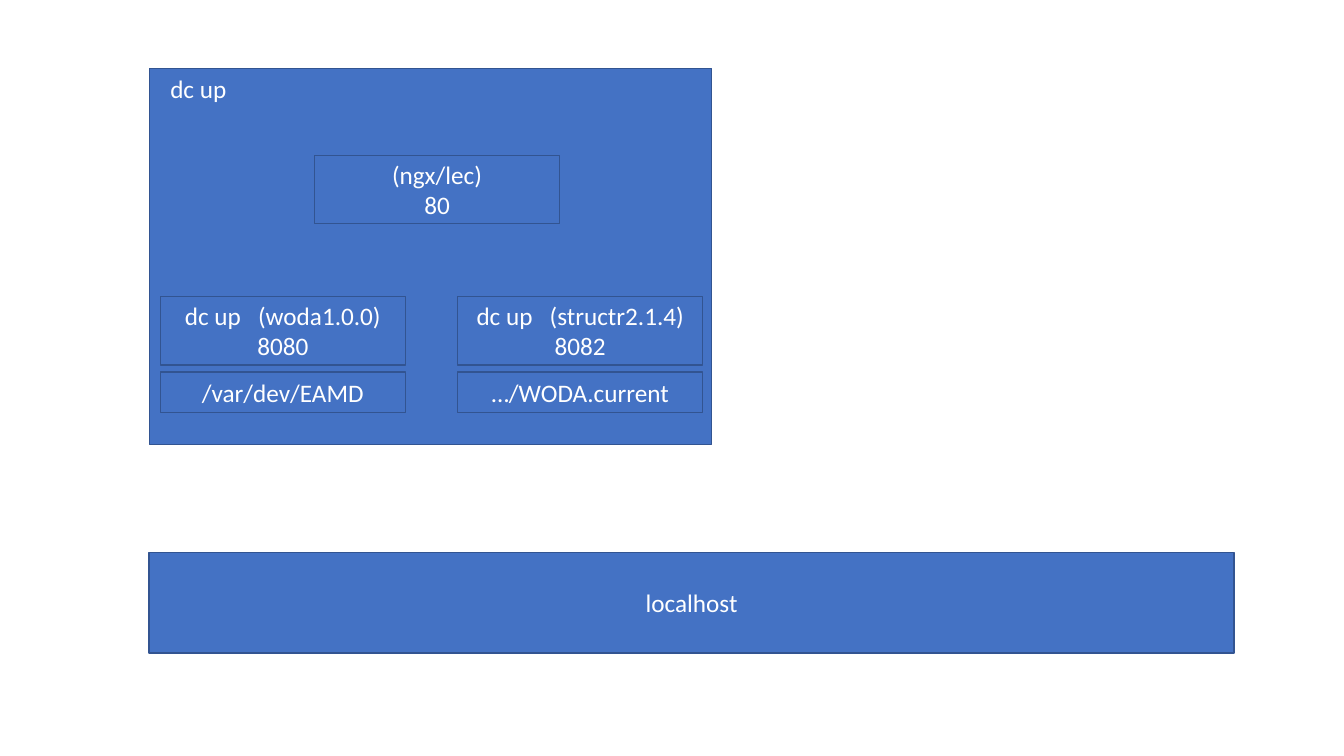
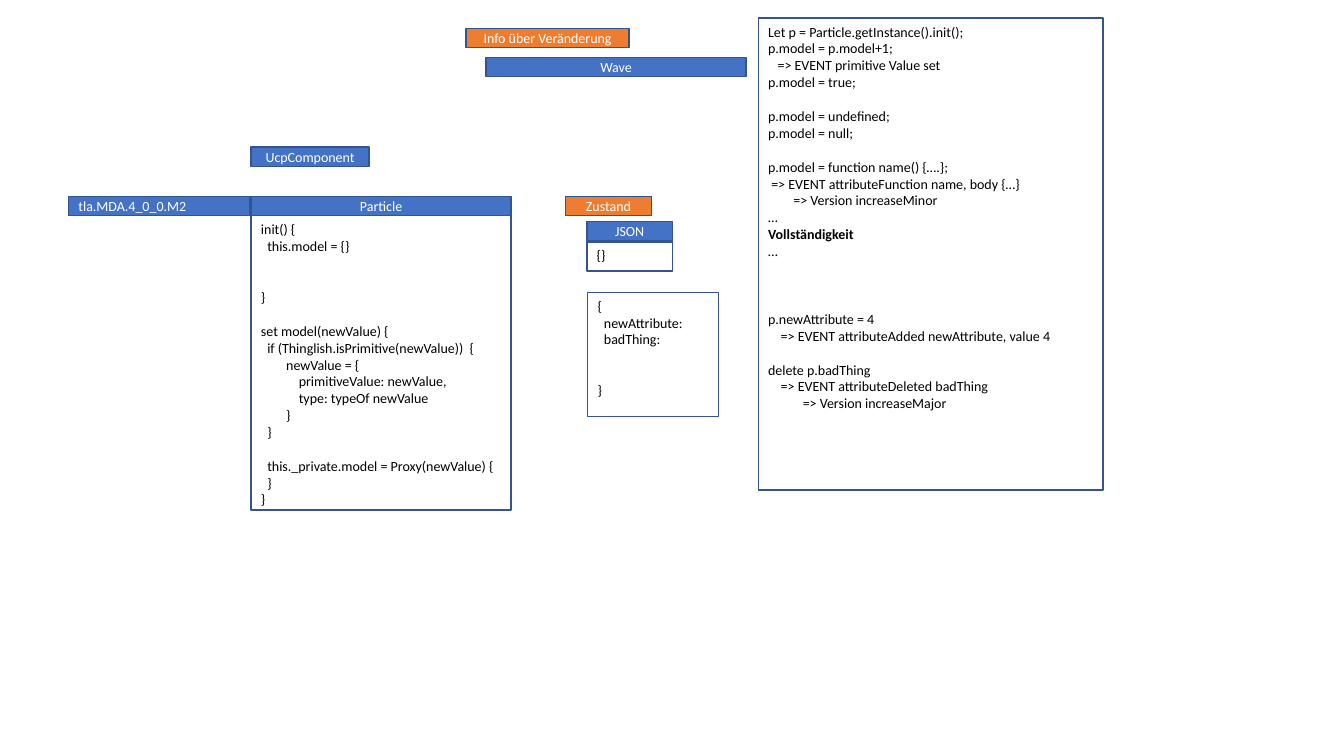
from dataclasses import dataclass

from pptx import Presentation
from pptx.dml.color import RGBColor
from pptx.enum.shapes import MSO_SHAPE as Preset
from pptx.enum.text import MSO_ANCHOR as Anchor, PP_ALIGN as Align
from pptx.util import Inches, Pt


@dataclass(frozen=True)
class Theme:
    font: str = "Calibri"
    blue: str = "4472C4"
    orange: str = "ED7D31"
    outline: str = "325491"
    white: str = "FFFFFF"
    black: str = "000000"
    label_size: float = 18
    code_size: float = 10
    line_height: float = 1.22   # share of the type size
    wide_gap: float = 0.45      # extra tracking, share of the type size


THEME = Theme()
LABEL = dict(fill=THEME.blue, color=THEME.white, size=THEME.label_size,
             align=Align.CENTER, anchor=Anchor.MIDDLE)
TAG = LABEL | dict(size=THEME.code_size)
LEFT_TAG = TAG | dict(align=Align.LEFT)
NOTE_TAG = TAG | dict(fill=THEME.orange)
CODE = dict(fill=THEME.white, color=THEME.black, size=THEME.code_size,
            align=Align.LEFT, anchor=Anchor.TOP)
CAPTION = LABEL | dict(fill=None, align=Align.LEFT, anchor=Anchor.TOP)

# Content: containers on the first slide; a tab marks a wide gap
PROXY = "(ngx/lec)\n80"
SERVICES = [
    ("dc up\t(woda1.0.0)\n8080", "/var/dev/EAMD"),
    ("dc up\t(structr2.1.4)\n8082", "…/WODA.current"),
]

# Content: code on the second slide; an empty line becomes paragraph spacing
PARTICLE_CODE = """init() {
  this.model = {}


}

set model(newValue) {
  if (Thinglish.isPrimitive(newValue))  {
        newValue = {
            primitiveValue: newValue,
            type: typeOf newValue
        }
  }

  this._private.model = Proxy(newValue) {
  }
}"""
STATE_CODE = """{
  newAttribute:
  badThing:


}"""
USAGE_CODE = """Let p = Particle.getInstance().init();
p.model = p.model+1;
   => EVENT primitive Value set
p.model = true;

p.model = undefined;
p.model = null;

p.model = function name() {….};
 => EVENT attributeFunction name, body {…}
        => Version increaseMinor
…
Vollständigkeit
…



p.newAttribute = 4
    => EVENT attributeAdded newAttribute, value 4

delete p.badThing
    => EVENT attributeDeleted badThing
           => Version increaseMajor"""
BOLD_LINES = {"Vollständigkeit"}


def add_span(para, text, style, bold=False):
    span = para.add_run()
    span.text = text
    values = dict(name=THEME.font, size=Pt(style["size"]), bold=bold)
    for name, value in values.items():
        setattr(span.font, name, value)
    span.font.color.rgb = RGBColor.from_string(style["color"])
    return span


def write_text(frame, text, style):
    """One paragraph per filled line; empty lines add space before the next."""
    frame.vertical_anchor = style["anchor"]
    para, empty_lines = None, 0
    for line in text.split("\n"):
        if not line:
            empty_lines += 1
            continue
        para = frame.add_paragraph() if para else frame.paragraphs[0]
        para.alignment = style["align"]
        if empty_lines:
            para.space_before = Pt(empty_lines * style["size"] * THEME.line_height)
            empty_lines = 0
        for index, part in enumerate(line.split("\t")):
            if index:
                gap = add_span(para, " ", style)
                tracking = round(100 * style["size"] * THEME.wide_gap)
                gap.font._element.set("spc", str(tracking))
            add_span(para, part, style, line in BOLD_LINES)


def add_box(page, place, text, style):
    box = page.shapes.add_shape(Preset.RECTANGLE, *map(Inches, place))
    box.shadow.inherit = False
    box.fill.solid()
    box.fill.fore_color.rgb = RGBColor.from_string(style["fill"])
    box.line.color.rgb = RGBColor.from_string(THEME.outline)
    box.line.width = Pt(1)
    box.text_frame.word_wrap = True
    if text:
        write_text(box.text_frame, text, style)


def add_caption(page, place, text):
    box = page.shapes.add_textbox(*map(Inches, place))
    box.text_frame.word_wrap = False
    write_text(box.text_frame, text, CAPTION)


def build_containers(page):
    left, width, tall, short = 1.59, 2.43, 0.68, 0.4
    add_box(page, (1.48, 0.68, 5.58, 3.73), "", LABEL)
    add_box(page, (1.48, 5.48, 10.76, 1), "localhost", LABEL)
    add_box(page, (3.12, 1.54, width, tall), PROXY, LABEL)
    for column, (service, folder) in enumerate(SERVICES):
        x = left + column * 2.95
        add_box(page, (x, 2.94, width, tall), service, LABEL)
        add_box(page, (x, 3.69, width, short), folder, LABEL)
    add_caption(page, (left, 0.68, 0.82, short), "dc up")


def build_model(page):
    tag_height, row, particle, wide, narrow = 0.19, 1.95, 2.49, 2.58, 0.85
    # Tags: left, top, width, text, style
    tags = [
        (particle, row, wide, "Particle", TAG),
        (0.68, row, 1.8, "tla.MDA.4_0_0.M2", LEFT_TAG),
        (5.82, 2.2, narrow, "JSON", TAG),
        (particle, 1.46, 1.17, "UcpComponent", TAG),
        (4.82, 0.57, wide, "Wave", TAG),
        (5.61, row, narrow, "Zustand", NOTE_TAG),
        (4.62, 0.28, 1.62, "Info über Veränderung", NOTE_TAG),
    ]
    for left, top, width, text, style in tags:
        add_box(page, (left, top, width, tag_height), text, style)
    # Code panels
    panels = [
        ((particle, row + tag_height, wide, 2.92), PARTICLE_CODE),
        ((5.82, 2.4, narrow, 0.29), "{}"),
        ((7.52, 0.18, 3.42, 4.68), USAGE_CODE),
        ((5.83, 2.9, 1.3, 1.23), STATE_CODE),
    ]
    for place, text in panels:
        add_box(page, place, text, CODE)


def main():
    deck = Presentation()
    deck.slide_width, deck.slide_height = Inches(13.33), Inches(7.5)
    blank = deck.slide_layouts[6]
    for build in (build_containers, build_model):
        build(deck.slides.add_slide(blank))
    deck.save("out.pptx")


if __name__ == "__main__":
    main()
